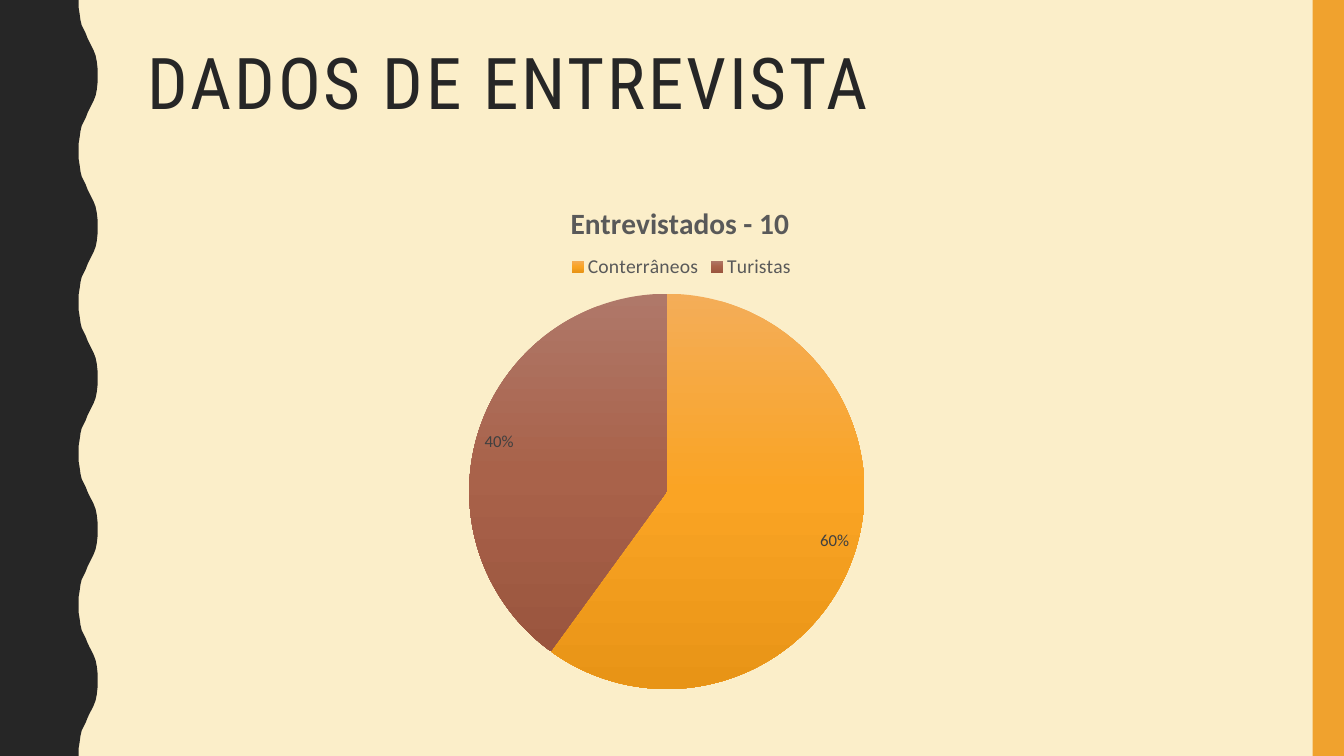
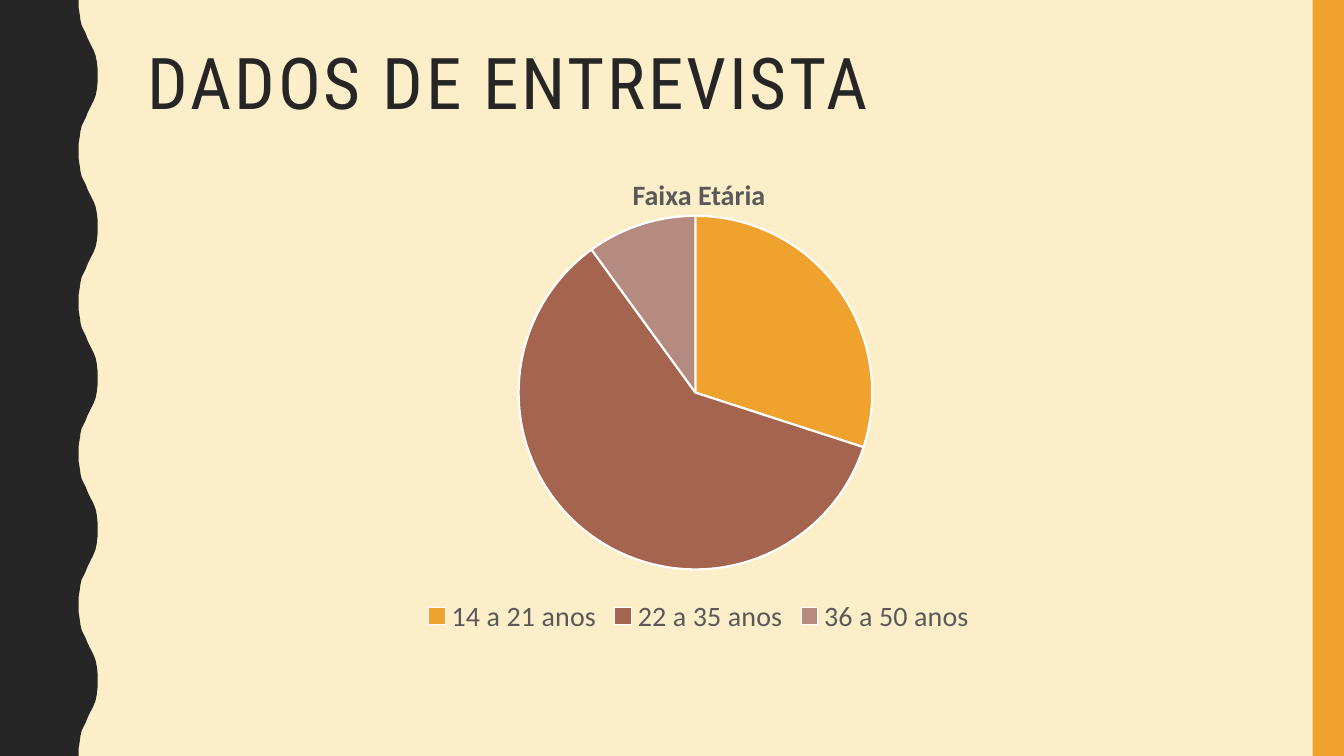
from lxml import etree
from pptx import Presentation
from pptx import util as u
from pptx.chart.data import CategoryChartData
from pptx.dml.color import RGBColor
from pptx.enum import chart as charts, shapes, text
from pptx.oxml import parse_xml
from pptx.oxml.ns import nsdecls, qn

COLOURS = {
    "paper": "FBEEC9", "ink": "262626", "amber": "F0A22E", "brick": "A5644E",
    "rose": "B58B80", "grey": "595959", "label": "404040", "white": "FFFFFF",
}
TITLE_FONT, BODY_FONT = "Roboto Condensed", "Calibri"
WIDTH, HEIGHT = 33.87, 19.05

# One half of a wave, trough to crest, in cm
HALF_WAVE = [
    (1.98, 0), (1.98, 0.18), (2.01, 0.36), (2.03, 0.51), (2.06, 0.64),
    (2.11, 0.74), (2.16, 0.84), (2.21, 0.97), (2.26, 1.07), (2.31, 1.17),
    (2.36, 1.27), (2.41, 1.4), (2.44, 1.55), (2.46, 1.73), (2.46, 1.9),
]
HALF_WAVES = 10

# Box: left, top, width, height in cm; layouts: fractions of the chart's box
SLIDES = [
    {
        "title": "DADOS DE ENTREVISTA",
        "chart": {
            "box": (3.48, 4.29, 26.92, 13.49),
            "values": {"Conterrâneos": 60, "Turistas": 40},
            "fills": [("F4AD58", "FAA424", "E89416"),
                      ("AF7869", "A9624A", "9A553E")],
            "title": "Entrevistados - 10",
            "title_layout": (0.4, 0.05),
            "legend": charts.XL_LEGEND_POSITION.TOP,
            "legend_size": 14,
            "legend_layout": (0.4, 0.15),
            "plot_layout": (0.31, 0.23, 0.37, 0.74),
            "labels": True,
        },
    },
    {
        "title": "DADOS DE ENTREVISTA",
        "heading": "Faixa Etária",
        "chart": {
            "box": (9.19, 5.11, 16.84, 11),
            "values": {"14 a 21 anos": 30, "22 a 35 anos": 60, "36 a 50 anos": 10},
            "fills": ["amber", "brick", "rose"],
            "legend": charts.XL_LEGEND_POSITION.BOTTOM,
            "legend_size": 20,
            "plot_layout": (0.23, 0.03, 0.53, 0.81),
        },
    },
]


def colour(name):
    return RGBColor.from_string(COLOURS[name])


def style_font(font, size, ink, bold=False, name=BODY_FONT):
    font.name, font.size, font.bold = name, u.Pt(size), bold
    font.color.rgb = colour(ink)


def add_text(slide, words, box, *, size, ink, bold=False, name=BODY_FONT,
             align=text.PP_ALIGN.LEFT, line_spacing=1.0, tracking=0):
    frame = slide.shapes.add_textbox(*map(u.Cm, box)).text_frame
    frame.word_wrap = True
    para = frame.paragraphs[0]
    para.alignment, para.line_spacing = align, line_spacing
    span = para.add_run()
    span.text = words
    style_font(span.font, size, ink, bold, name)
    if tracking:
        span.font._element.set("spc", str(tracking * 100))


def paint(shape, name):
    shape.fill.solid()
    shape.fill.fore_color.rgb = colour(name)
    shape.line.fill.background()
    shape.shadow.inherit = False


def add_backdrop(slide):
    """Paper background, wavy dark band on the left, amber bar on the right."""
    slide.background.fill.solid()
    slide.background.fill.fore_color.rgb = colour("paper")

    half_height = HEIGHT / HALF_WAVES
    edge = []
    for index in range(HALF_WAVES):
        top = index * half_height
        if index % 2 == 0:
            edge += [(x, top + y) for x, y in HALF_WAVE]
        else:
            edge += [(x, top + half_height - y) for x, y in reversed(HALF_WAVE)]
    outline = edge + [(edge[-1][0], HEIGHT), (0, HEIGHT)]
    builder = slide.shapes.build_freeform(0, 0, scale=1.0)
    builder.add_line_segments([(u.Cm(x), u.Cm(y)) for x, y in outline], close=True)
    paint(builder.convert_to_shape(), "ink")

    bar_width = 0.79
    bar = slide.shapes.add_shape(
        shapes.MSO_SHAPE.RECTANGLE, u.Cm(WIDTH - bar_width), 0,
        u.Cm(bar_width), u.Cm(HEIGHT))
    paint(bar, "amber")


def set_layout(parent, index, fractions, inner=False):
    """Give a chart part a fixed place; index is where the layout element belongs."""
    for old in parent.findall(qn("c:layout")):
        parent.remove(old)
    layout = parse_xml(f"<c:layout {nsdecls('c')}><c:manualLayout/></c:layout>")
    manual = layout[0]
    settings = [("layoutTarget", "inner")] if inner else []
    settings += [("xMode", "edge"), ("yMode", "edge")]
    settings += list(zip("xywh", fractions))
    for tag, value in settings:
        etree.SubElement(manual, qn(f"c:{tag}")).set("val", str(value))
    parent.insert(index, layout)


def fill_gradient(point, stops):
    """Three even stops running from top to bottom."""
    point.format.fill.solid()
    solid = next(point.format._element.iter(qn("a:solidFill"))) \
        if hasattr(point.format, "_element") else \
        point._element.xpath(f"c:dPt[c:idx/@val='{point._idx}']//a:solidFill")[0]
    marks = "".join(
        f'<a:gs pos="{index * 50000}"><a:srgbClr val="{stop}"/></a:gs>'
        for index, stop in enumerate(stops))
    gradient = parse_xml(
        f"<a:gradFill {nsdecls('a')}><a:gsLst>{marks}</a:gsLst>"
        '<a:lin ang="5400000" scaled="0"/></a:gradFill>')
    solid.getparent().replace(solid, gradient)


def add_pie(slide, content):
    data = CategoryChartData()
    data.categories = list(content["values"])
    data.add_series("Series 1", list(content["values"].values()))
    chart = slide.shapes.add_chart(
        charts.XL_CHART_TYPE.PIE, *map(u.Cm, content["box"]), data).chart
    chart.font.name, chart.font.size = BODY_FONT, u.Pt(10)

    chart.has_title = "title" in content
    if chart.has_title:
        frame = chart.chart_title.text_frame
        frame.text = content["title"]
        style_font(frame.paragraphs[0].runs[0].font, 21, "grey", bold=True)
        set_layout(chart.chart_title._element, 1, content["title_layout"])

    chart.has_legend = True
    legend = chart.legend
    legend.position, legend.include_in_layout = content["legend"], False
    style_font(legend.font, content["legend_size"], "grey")
    if "legend_layout" in content:
        set_layout(legend._element, 1, content["legend_layout"])

    plot = chart.plots[0]
    plot.vary_by_categories = True
    set_layout(plot._element.getparent(), 0, content["plot_layout"], inner=True)
    for index, fill in enumerate(content["fills"]):
        point = plot.series[0].points[index]
        if isinstance(fill, tuple):
            fill_gradient(point, fill)
            point.format.line.fill.background()
        else:
            point.format.fill.solid()
            point.format.fill.fore_color.rgb = colour(fill)
            point.format.line.color.rgb = colour("white")
            point.format.line.width = u.Pt(1.5)

    if content.get("labels"):
        plot.has_data_labels = True
        labels = plot.data_labels
        labels.show_percentage, labels.show_value = True, False
        labels.number_format, labels.number_format_is_linked = "0%", False
        labels.position = charts.XL_LABEL_POSITION.INSIDE_END
        style_font(labels.font, 12, "label")


def main():
    deck = Presentation()
    deck.slide_width, deck.slide_height = u.Cm(WIDTH), u.Cm(HEIGHT)
    for content in SLIDES:
        slide = deck.slides.add_slide(deck.slide_layouts[6])
        add_backdrop(slide)
        add_text(slide, content["title"], (3.48, 1.07, 28.27, 4.14), size=51,
                 ink="ink", name=TITLE_FONT, line_spacing=0.9, tracking=2)
        if "heading" in content:
            add_text(slide, content["heading"], (3.48, 4.27, 28.27, 12.55), size=20,
                     ink="grey", bold=True, align=text.PP_ALIGN.CENTER,
                     line_spacing=1.1)
        add_pie(slide, content["chart"])
    deck.save("out.pptx")


if __name__ == "__main__":
    main()
